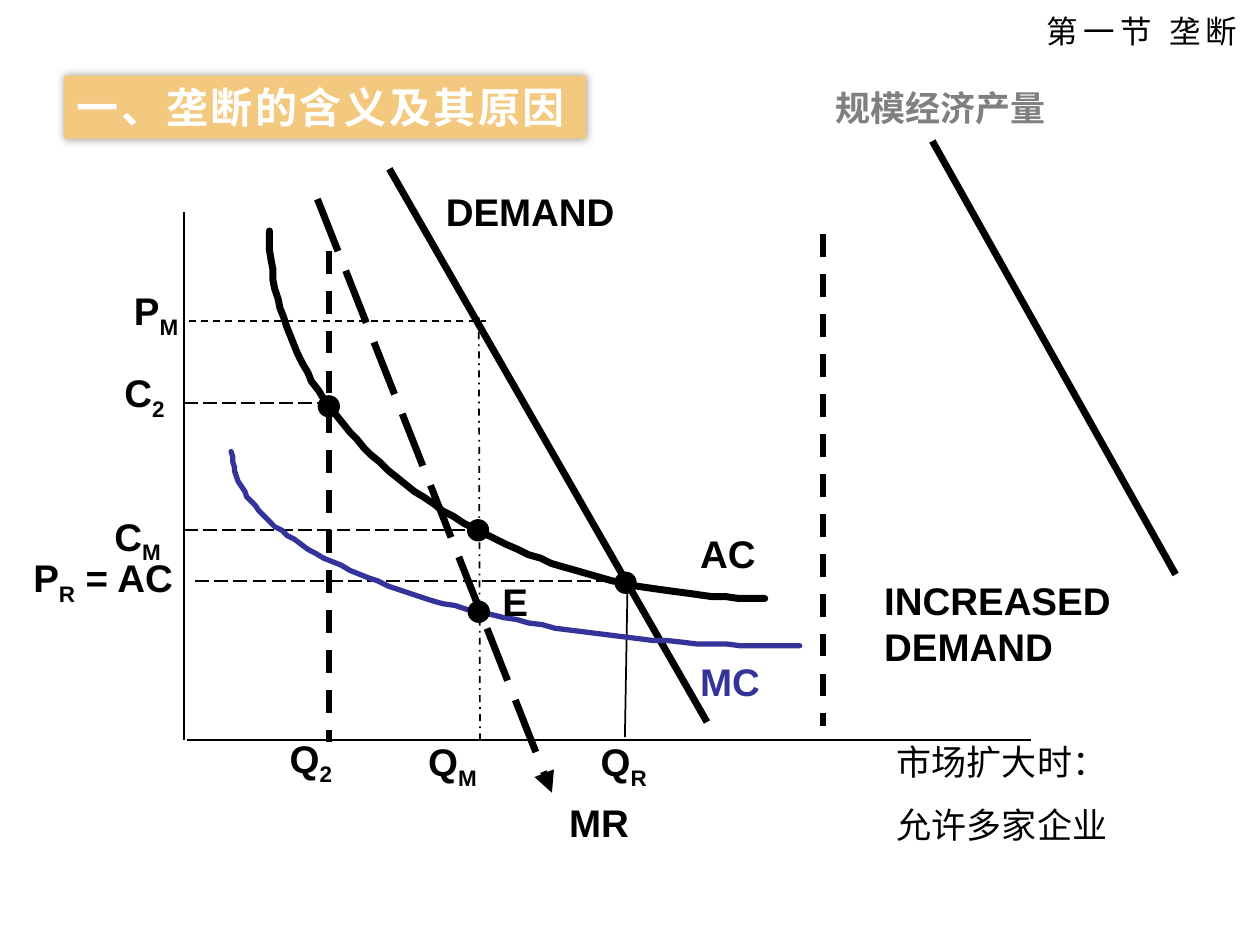
"""Slide with a monopoly diagram: cost curves, demand and marginal revenue."""
import math

from lxml import etree
from pptx import Presentation
from pptx.dml import color
from pptx.enum import dml, shapes, text
from pptx.oxml import ns
from pptx.util import Pt

BLACK, BLUE, GREY, ORANGE, WHITE = "000000", "333399", "808080", "F3C97F", "FFFFFF"
LATIN, CHINESE = "Arial", "Noto Sans CJK SC"
DASH, LONG_DASH, DASH_DOT = (dml.MSO_LINE.DASH, dml.MSO_LINE.LONG_DASH,
                             dml.MSO_LINE.DASH_DOT)

LINES = [
    ((427.8, -40.4), (566.8, 207.3), 4, None),
    ((0, 0), (0, 302), 1, None),
    ((2, 302), (484, 302), 1, None),
    ((117.5, -24.5), (299, 291.6), 4, None),
    ((6.6, 211), (251.4, 211), 1, LONG_DASH),
    ((169.3, 302), (168.6, 60.4), 1, DASH_DOT),
    ((3, 62.6), (173, 62.6), 1, DASH),
    ((253.6, 213.8), (252.1, 300.2), 1, None),
    ((365.2, 12.9), (365.2, 293.7), 3.25, DASH),
    ((82.9, 22.3), (82.9, 303), 3.25, DASH),
    ((0, 109.4), (79.3, 109.4), 1, LONG_DASH),
    ((0, 182), (161.4, 182), 1, LONG_DASH),
]
CURVES = [((49, 11.5, 283, 209.5), BLACK, 4), ((27.5, 136.8, 324.7, 111.6), BLUE, 3)]
DOTS = [(82.9, 111.2), (168.2, 182), (168.6, 228.6), (252.5, 212)]
LABELS = [
    (("INCREASED\nDEMAND",), (393.2, 205.2, 207, 60.5), BLACK),
    (("DEMAND",), (142.7, -17.3, 207, 34), BLACK),
    (("AC",), (288, 178.5, 47, 34), BLACK),
    (("MC",), (288, 251.2, 49, 34), BLUE),
    (("MR",), (213.2, 332, 84, 34), BLACK),
    (("E",), (175, 206, 29, 34), BLACK),
    (("Q", "M"), (132.6, 297.3, 44, 34), BLACK),
    (("Q", "R"), (231.2, 297.3, 42.5, 34), BLACK),
    (("Q", "2"), (53.4, 295.2, 39.6, 34), BLACK),
    (("P", "M"), (-35.5, 39.6, 41.5, 34), BLACK),
    (("C", "2"), (-41, 86.4, 39, 34), BLACK),
    (("C", "M"), (-46.7, 168.4, 42.5, 34), BLACK),
    (("P", "R", " = AC"), (-93, 192.2, 97, 34), BLACK),
]


def rgb(value):
    """Turn a hex string into a colour."""
    return color.RGBColor.from_string(value)


def place(shape, box):
    """Move and size a shape to a box in points."""
    shape.left, shape.top, shape.width, shape.height = map(Pt, box)


def set_font(paragraph, size, name, hex_color, bold=False, spacing=0):
    """Format a whole paragraph, East Asian face included."""
    font = paragraph.font
    font.size, font.name, font.bold = Pt(size), name, bold
    font.color.rgb = rgb(hex_color)
    properties = paragraph._p.pPr.find(ns.qn("a:defRPr"))
    if spacing:
        properties.set("spc", str(int(spacing * 100)))
    etree.SubElement(properties, ns.qn("a:ea")).set("typeface", name)


def add_text(slide, box, parts, font, anchor=text.MSO_ANCHOR.TOP):
    """Add a text box whose every second part is a subscript."""
    shape = slide.shapes.add_textbox(*map(Pt, box))
    frame = shape.text_frame
    frame.word_wrap, frame.vertical_anchor = False, anchor
    frame.text = parts[0]
    for index, part in enumerate(parts[1:], 1):
        run = frame.paragraphs[0].add_run()
        run.text = part
        if index % 2:
            run._r.get_or_add_rPr().set("baseline", "-25000")
    for paragraph in frame.paragraphs:
        set_font(paragraph, *font)
    return frame


def add_line(slide, start, end, width, dash=None):
    """Add a straight black line without shadow and return it."""
    line = slide.shapes.add_connector(shapes.MSO_CONNECTOR.STRAIGHT,
                                      *map(Pt, (*start, *end)))
    line.line.width, line.line.color.rgb = Pt(width), rgb(BLACK)
    if dash:
        line.line.dash_style = dash
    etree.SubElement(line._element.spPr, ns.qn("a:effectLst"))
    return line


def add_curve(slide, box, hex_color, width, steps=60):
    """Draw a falling quarter ellipse that flattens to the right."""
    left, top, across, down = box
    angles = [math.pi / 2 * step / steps for step in range(steps + 1)]
    points = [(left + across * (1 - math.cos(angle)), top + down * math.sin(angle))
              for angle in angles]
    builder = slide.shapes.build_freeform(*points[0], scale=Pt(1))
    builder.add_line_segments(points[1:], close=False)
    curve = builder.convert_to_shape()
    curve.shadow.inherit = False
    curve.fill.background()
    curve.line.color.rgb, curve.line.width = rgb(hex_color), Pt(width)
    curve.line._ln.set("cap", "rnd")


def add_dot(slide, x, y, size=12):
    """Mark a point on the diagram."""
    dot = slide.shapes.add_shape(shapes.MSO_SHAPE.OVAL,
                                 *map(Pt, (x - size / 2, y - size / 2, size, size)))
    dot.shadow.inherit = False
    dot.fill.solid()
    dot.fill.fore_color.rgb = dot.line.color.rgb = rgb(BLACK)
    dot.line.width = Pt(0.75)


def add_diagram(slide, left, top):
    """Draw the diagram relative to the top of its vertical axis."""
    def shift(x, y, *size):
        return (left + x, top + y, *size)

    for start, end, width, dash in LINES:
        add_line(slide, shift(*start), shift(*end), width, dash)
    revenue = add_line(slide, shift(76.4, -7.2), shift(210.4, 332), 4, LONG_DASH)
    etree.SubElement(revenue.line._ln, ns.qn("a:tailEnd")).set("type", "triangle")
    for box, hex_color, width in CURVES:
        add_curve(slide, shift(*box), hex_color, width)
    for dot in DOTS:
        add_dot(slide, *shift(*dot))
    for parts, box, hex_color in LABELS:
        add_text(slide, shift(*box), parts, (22, LATIN, hex_color, True))
    add_text(slide, shift(365.2, -75, 135, 31), ("规模经济产量",),
             (20, CHINESE, GREY, True), text.MSO_ANCHOR.MIDDLE)


def add_title(slide, box):
    """Format the title as an orange bar with a soft shadow."""
    title = slide.shapes.title
    place(title, box)
    title.fill.solid()
    title.fill.fore_color.rgb = rgb(ORANGE)
    effects = etree.SubElement(title._element.spPr, ns.qn("a:effectLst"))
    shadow = etree.SubElement(effects, ns.qn("a:outerShdw"), blurRad=str(Pt(5)))
    shade = etree.SubElement(shadow, ns.qn("a:srgbClr"), val=BLACK)
    etree.SubElement(shade, ns.qn("a:alpha"), val="40000")
    frame = title.text_frame
    frame.text = "一、垄断的含义及其原因"
    frame.word_wrap, frame.auto_size = False, text.MSO_AUTO_SIZE.NONE
    frame.vertical_anchor = text.MSO_ANCHOR.MIDDLE
    paragraph = frame.paragraphs[0]
    paragraph.alignment = text.PP_ALIGN.LEFT
    set_font(paragraph, 24, CHINESE, WHITE, True, 1.5)


def add_notes(slide, section_box, market_box):
    """Add the section name and the remark on a growing market."""
    section = add_text(slide, section_box, ("第一节 垄断",),
                       (18, CHINESE, BLACK, False, 3), text.MSO_ANCHOR.MIDDLE)
    section.paragraphs[0].alignment = text.PP_ALIGN.JUSTIFY
    market = add_text(slide, market_box, ("市场扩大时：\n允许多家企业",),
                      (20, CHINESE, BLACK))
    market.word_wrap = True
    market.paragraphs[1].line_spacing = Pt(36)


def main():
    """Build and save the slide."""
    presentation = Presentation()
    presentation.slide_width, presentation.slide_height = Pt(720), Pt(540)
    slide = presentation.slides.add_slide(presentation.slide_layouts[5])
    add_title(slide, (36.7, 43.2, 298, 36))
    add_diagram(slide, 105, 121)
    add_notes(slide, (591, 3, 129, 29), (505.4, 419.4, 214, 67.7))
    presentation.save("out.pptx")


if __name__ == "__main__":
    main()
